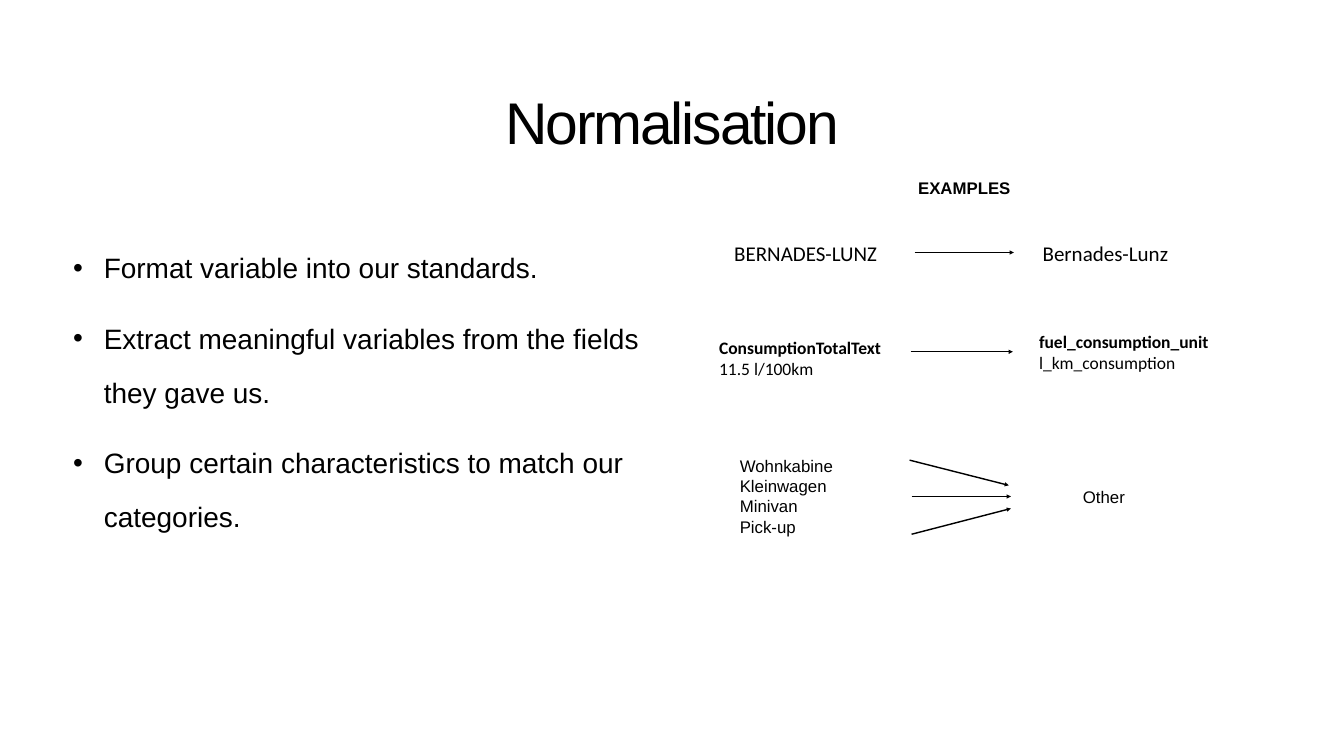
from lxml import etree
from pptx import Presentation, util as u
from pptx.dml.color import RGBColor
from pptx.enum import shapes, text
from pptx.oxml.ns import qn

BLACK = RGBColor(0, 0, 0)
WIDTH, HEIGHT = 26.67, 15
INSET = 0.06
HANGING = 0.61
LEFT, CENTER = text.PP_ALIGN.LEFT, text.PP_ALIGN.CENTER

# Content
TITLE = "Normalisation"
POINTS = [
    "Format variable into our standards.",
    "Extract meaningful variables from the fields they gave us.",
    "Group certain characteristics to match our categories.",
]
# Example labels: lines, area (left, top, width, height), format
LABELS = [
    (["EXAMPLES"], (18.15, 3.46, 1.97, 0.54),
     dict(size=24, heading=True, align=CENTER, wrap=False)),
    (["BERNADES-LUNZ"], (14.51, 4.74, 3.15, 0.55), dict(size=30, font="Calibri")),
    (["Bernades-Lunz"], (20.63, 4.74, 2.83, 0.55), dict(size=30, font="Calibri")),
    (["ConsumptionTotalText", "11.5 l/100km"], (14.21, 6.66, 3.4, 0.9),
     dict(size=25, font="Calibri", heading=True)),
    (["fuel_consumption_unit", "l_km_consumption"], (20.56, 6.53, 3.49, 0.9),
     dict(size=25, font="Calibri", heading=True, wrap=False)),
    (["Wohnkabine", "Kleinwagen", "Minivan", "Pick-up"], (14.62, 8.93, 2.05, 1.83),
     dict(size=24, wrap=False)),
    (["Other"], (21.39, 9.58, 1.03, 0.54), dict(size=24, align=CENTER, wrap=False)),
]
# Arrows: start x, start y, end x, end y
ARROWS = [
    (18.15, 5.01, 20.12, 5.01),
    (18.07, 6.98, 20.1, 6.98),
    (18.09, 10.6, 20.06, 10.09),
    (18.09, 9.85, 20.06, 9.85),
    (18.05, 9.13, 20.02, 9.63),
]


def place(box, area):
    box.left, box.top, box.width, box.height = map(u.Inches, area)


def write(box, lines, size, font="Arial", heading=False, align=LEFT, wrap=True,
          anchor=text.MSO_ANCHOR.MIDDLE, fit=text.MSO_AUTO_SIZE.NONE,
          spacing=None, before=0, tracking=None, hanging=None):
    """Fill a box with one paragraph per line; heading makes the first bold."""
    frame = box.text_frame
    frame.word_wrap, frame.auto_size, frame.vertical_anchor = wrap, fit, anchor
    frame.margin_left = frame.margin_right = u.Inches(INSET)
    frame.margin_top = frame.margin_bottom = u.Inches(INSET)
    for index, line in enumerate(lines):
        para = frame.add_paragraph() if index else frame.paragraphs[0]
        para.alignment, para.space_before = align, u.Pt(before)
        if spacing:
            para.line_spacing = spacing
        span = para.add_run()
        span.text = line
        span.font.name, span.font.size = font, u.Pt(size)
        span.font.bold = heading and index == 0
        span.font.color.rgb = BLACK
        if tracking:
            span.font._element.set("spc", str(tracking * 100))
        if hanging:
            layout = para._p.get_or_add_pPr()
            layout.set("marL", str(u.Inches(hanging)))
            layout.set("indent", str(-u.Inches(hanging)))
            etree.SubElement(layout, qn("a:buFont"), typeface="Arial")
            etree.SubElement(layout, qn("a:buChar"), char="•")


def add_arrow(page, ends):
    arrow = page.shapes.add_connector(
        shapes.MSO_CONNECTOR.STRAIGHT, *map(u.Inches, ends))
    arrow.line.color.rgb = BLACK
    arrow.line.width = u.Pt(2)
    etree.SubElement(arrow.line._get_or_add_ln(), qn("a:tailEnd"), type="triangle")
    etree.SubElement(arrow._element.spPr, qn("a:effectLst"))


def main():
    deck = Presentation()
    deck.slide_width, deck.slide_height = u.Inches(WIDTH), u.Inches(HEIGHT)
    page = deck.slides.add_slide(deck.slide_layouts[1])

    # Title and bullet list
    title, body = page.placeholders
    place(title, (8.06, 1.49, 10.56, 1.67))
    write(title, [TITLE], size=84, align=CENTER, anchor=text.MSO_ANCHOR.BOTTOM,
          spacing=0.8, tracking=-3)
    place(body, (1.39, 4.52, 12.06, 9.22))
    write(body, POINTS, size=40, anchor=text.MSO_ANCHOR.TOP,
          spacing=1.6, before=24, hanging=HANGING)

    # Examples before and after normalisation
    for lines, area, style in LABELS:
        box = page.shapes.add_textbox(*map(u.Inches, area))
        write(box, lines, fit=text.MSO_AUTO_SIZE.SHAPE_TO_FIT_TEXT, **style)
    for ends in ARROWS:
        add_arrow(page, ends)

    deck.save("out.pptx")


if __name__ == "__main__":
    main()
